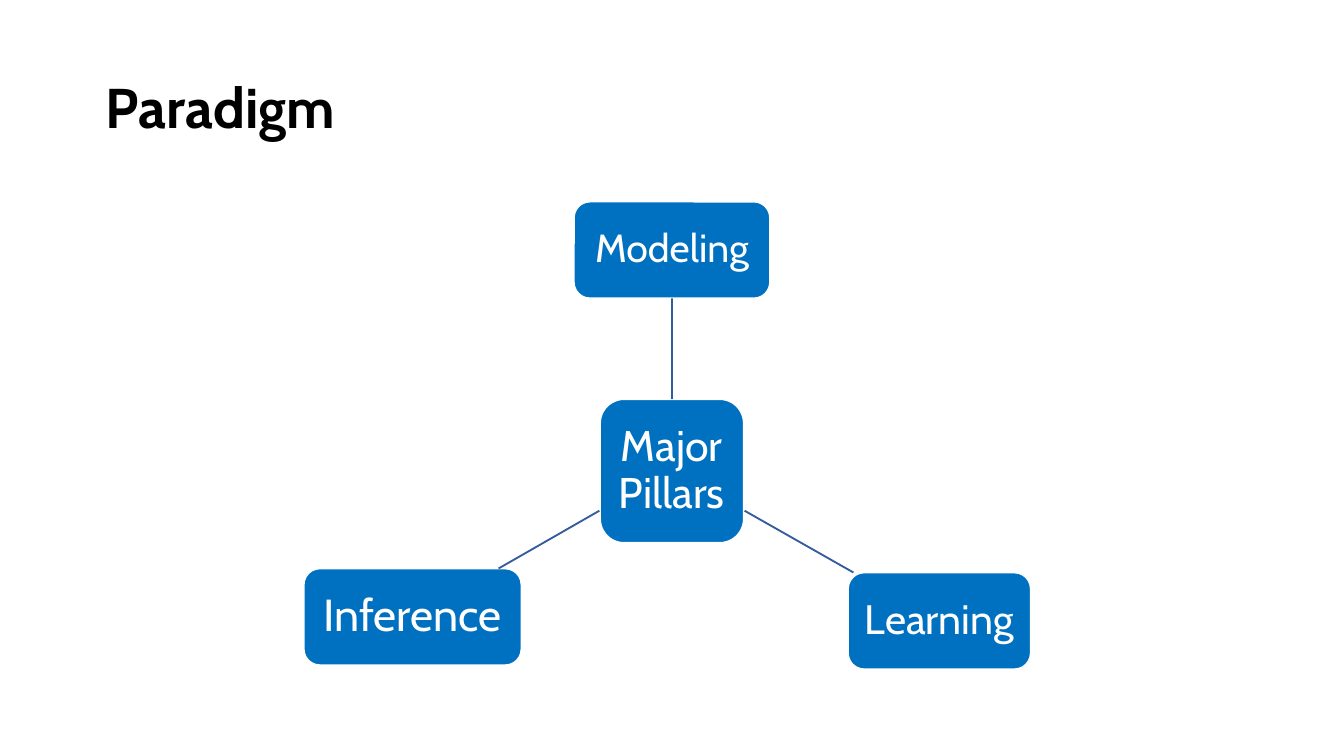
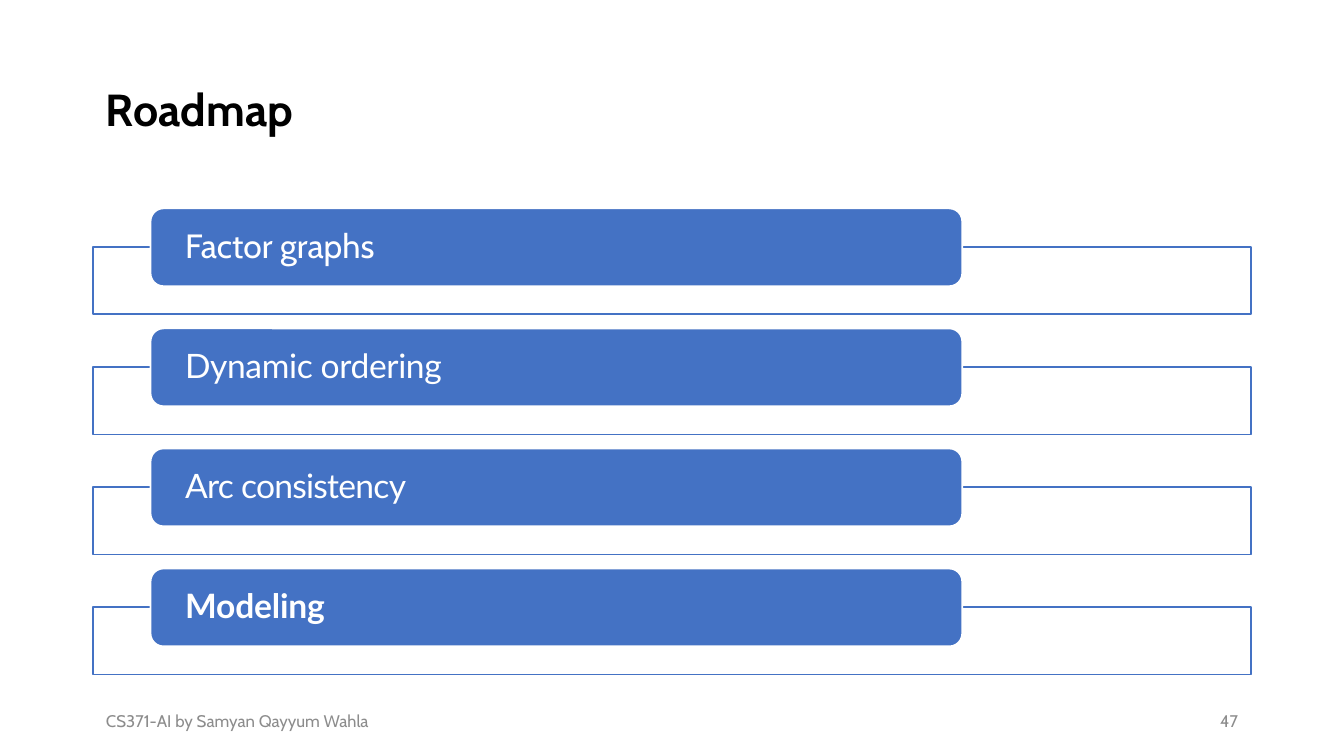
from pptx import Presentation
from pptx.dml.color import RGBColor
from pptx.enum.shapes import MSO_CONNECTOR as Line, MSO_SHAPE as Preset
from pptx.enum.text import MSO_ANCHOR as Anchor, PP_ALIGN as Align
from pptx.oxml.ns import qn
from pptx.util import Inches, Pt
from lxml import etree

COLORS = {"white": "FFFFFF", "black": "000000", "pillar": "0070C0",
          "spoke": "365B9D", "step": "4472C4", "footer": "8C8C8C"}
TITLE = {"size": Pt(30), "bold": True}
FOOTER = {"size": Pt(9)}
SLIDE_WIDTH = 10
SLIDE_HEIGHT = SLIDE_WIDTH * 9 / 16
LEFT, CONTENT_WIDTH = 0.69, 8.62
CENTER = SLIDE_WIDTH / 2


def rgb(name):
    return RGBColor.from_string(COLORS[name])


def apply(target, values):
    for key, value in values.items():
        setattr(target, key, value)


def write(shape, words, color, font, align=Align.LEFT, inset=(0.1, 0.05),
          spacing=0.9, tracking=0):
    frame = shape.text_frame
    across, down = map(Inches, inset)
    apply(frame, {"word_wrap": True, "vertical_anchor": Anchor.MIDDLE,
                  "margin_left": across, "margin_right": across,
                  "margin_top": down, "margin_bottom": down})
    paragraph = frame.paragraphs[0]
    apply(paragraph, {"alignment": align, "line_spacing": spacing})
    run = paragraph.add_run()
    run.text = words
    apply(run.font, {"name": "Cabin", **font})
    run.font.color.rgb = rgb(color)
    if tracking:
        run._r.get_or_add_rPr().set("spc", str(round(tracking * 100)))


def add_label(slide, box, words, color, font, **layout):
    label = slide.shapes.add_textbox(*map(Inches, box))
    write(label, words, color, font, **layout)


def add_title(slide, words, top, **font):
    add_label(slide, (LEFT, top, CONTENT_WIDTH, 1.09), words, "black",
              {**TITLE, **font})


def add_footer(slide, credit, number):
    for left, words, align in ((LEFT, credit, Align.LEFT),
                               (7.06, number, Align.RIGHT)):
        add_label(slide, (left, 5.21, 2.25, 0.3), words, "footer", FOOTER,
                  align=align, spacing=1.0)


def add_box(slide, preset, box, fill, outline):
    shape = slide.shapes.add_shape(preset, *map(Inches, box))
    shape.shadow.inherit = False
    shape.fill.solid()
    shape.fill.fore_color.rgb = rgb(fill)
    shape.line.color.rgb = rgb(outline)
    shape.line.width = Pt(1)
    return shape


def add_pillar(slide, center, top, width, height, words, size):
    box = (center - width / 2, top, width, height)
    pillar = add_box(slide, Preset.ROUNDED_RECTANGLE, box, "pillar", "white")
    write(pillar, words, "white", {"size": Pt(size)}, align=Align.CENTER,
          inset=(0.05, 0.05))
    return pillar


def add_spoke(slide, start, end):
    spoke = slide.shapes.add_connector(Line.STRAIGHT,
                                       *map(Inches, (*start, *end)))
    spoke.line.color.rgb = rgb("spoke")
    spoke.line.width = Pt(1)
    etree.SubElement(spoke._element.spPr, qn("a:effectLst"))
    return spoke


def add_step(slide, top, words, font, tracking):
    # Nearly opaque frame behind the step's bar
    frame = add_box(slide, Preset.RECTANGLE,
                    (LEFT, top + 0.29, CONTENT_WIDTH, 0.5), "white", "step")
    tint = frame._element.spPr.find(qn("a:solidFill"))[0]
    etree.SubElement(tint, qn("a:alpha")).set("val", "90000")
    bar = add_box(slide, Preset.ROUNDED_RECTANGLE, (1.12, top, 6.04, 0.58),
                  "step", "white")
    write(bar, words, "white", {"size": Pt(18), **font}, inset=(0.23, 0),
          tracking=tracking)


def build_paradigm(slide):
    add_title(slide, "Paradigm", 0.28)
    # Hub and its three pillars
    hub = add_pillar(slide, CENTER, 2.97, 1.07, 1.07, "Major Pillars", 23)
    modeling = add_pillar(slide, CENTER, 1.5, 1.46, 0.72, "Modeling", 21)
    add_pillar(slide, 6.99, 4.26, 1.36, 0.72, "Learning", 22)
    add_pillar(slide, 3.07, 4.23, 1.62, 0.72, "Inference", 24)
    # Spokes
    upward = add_spoke(slide, (CENTER, 2.97), (CENTER, 2.22))
    upward.begin_connect(hub, 0)
    upward.end_connect(modeling, 2)
    add_spoke(slide, (5.54, 3.8), (6.35, 4.26))
    add_spoke(slide, (4.46, 3.8), (3.71, 4.23))


def build_roadmap(slide):
    add_title(slide, "Roadmap", 0.29, size=Pt(24))
    lato = {"name": "Lato"}
    steps = (("Factor graphs", {}, 0),
             ("Dynamic ordering", lato, -0.2),
             ("Arc consistency", lato, -0.4),
             ("Modeling", {**lato, "bold": True}, -0.1))
    first, last = 1.55, 4.23
    pitch = (last - first) / (len(steps) - 1)
    for index, step in enumerate(steps):
        add_step(slide, first + index * pitch, *step)
    add_footer(slide, "CS371-AI by Samyan Qayyum Wahla", "47")


def main():
    deck = Presentation()
    apply(deck, {"slide_width": Inches(SLIDE_WIDTH),
                 "slide_height": Inches(SLIDE_HEIGHT)})
    blank = deck.slide_layouts[6]
    for build in (build_paradigm, build_roadmap):
        build(deck.slides.add_slide(blank))
    deck.save("out.pptx")


if __name__ == "__main__":
    main()
